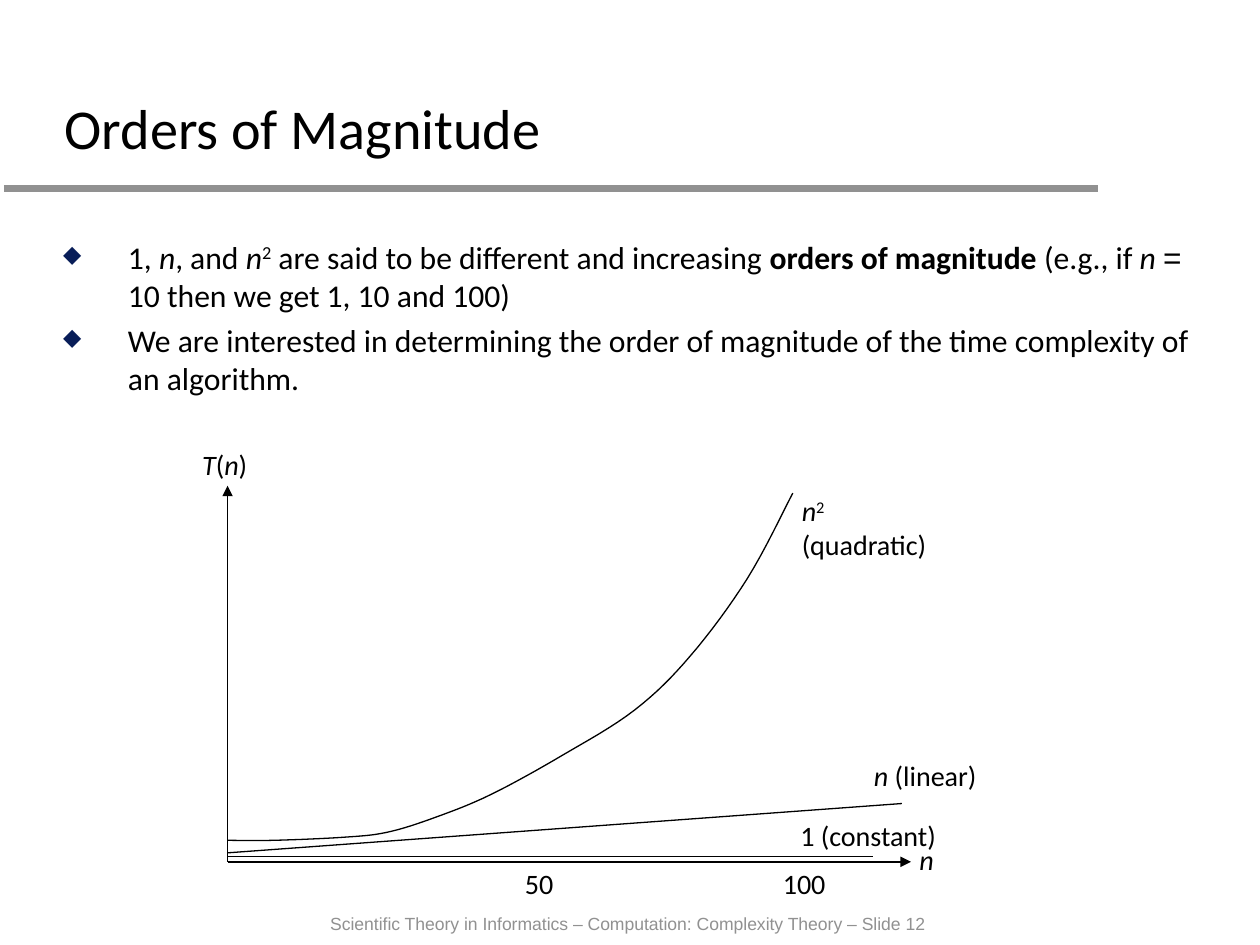
"""Build the Orders of Magnitude slide with its growth-rate sketch."""
from lxml import etree
from pptx import Presentation
from pptx import util as u
from pptx.dml import color
from pptx.enum import text
from pptx.oxml import ns

INK, GREY, NAVY = "000000", "919191", "081D58"
ITALIC, BOLD, RAISED = {"italic": True}, {"bold": True}, {"raised": True}


def rgb(value):
    return color.RGBColor.from_string(value)


def add_run(paragraph, words, size=16, font="Calibri", ink=INK,
            italic=False, bold=False, raised=False):
    run = paragraph.add_run()
    run.text = words
    run.font.size, run.font.name = u.Pt(size), font
    run.font.italic, run.font.bold = italic, bold
    run.font.color.rgb = rgb(ink)
    if raised:
        run._r.get_or_add_rPr().set("baseline", "30000")


def add_xml(parent, tag, **attributes):
    return etree.SubElement(parent, ns.qn(tag), attributes)


def smooth(knots, steps=8):
    padded = [knots[0], *knots, knots[-1]]
    points = [knots[0]]
    for before, start, end, after in zip(padded, padded[1:], padded[2:], padded[3:]):
        for step in range(1, steps + 1):
            t = step / steps
            points.append(tuple(
                b + t / 2 * (c - a + t * (2 * a - 5 * b + 4 * c - d
                                          + t * (3 * b - a - 3 * c + d)))
                for a, b, c, d in zip(before, start, end, after)))
    return points


class LectureSlide:
    def __init__(self, deck):
        self.slide = deck.slides.add_slide(deck.slide_layouts[5])
        self.shapes = self.slide.shapes

    def title(self, words, left, top, width, height):
        heading = self.shapes.title
        heading.left, heading.top = u.Cm(left), u.Cm(top)
        heading.width, heading.height = u.Cm(width), u.Cm(height)
        frame = heading.text_frame
        frame.auto_size = text.MSO_AUTO_SIZE.NONE
        frame.vertical_anchor = text.MSO_ANCHOR.BOTTOM
        frame.paragraphs[0].alignment = text.PP_ALIGN.LEFT
        add_run(frame.paragraphs[0], words, size=32)

    def line(self, start, end, ink=INK, weight=0.75, arrow=False):
        connector = self.shapes.add_connector(1, *map(u.Cm, (*start, *end)))
        connector.line.color.rgb = rgb(ink)
        connector.line.width = u.Pt(weight)
        if arrow:
            add_xml(connector.line._get_or_add_ln(), "a:tailEnd", type="triangle")
        add_xml(connector._element.spPr, "a:effectLst")

    def curve(self, knots):
        first, *rest = [(u.Cm(x), u.Cm(y)) for x, y in smooth(knots)]
        builder = self.shapes.build_freeform(*first)
        builder.add_line_segments(rest, close=False)
        outline = builder.convert_to_shape()
        outline.shadow.inherit = False
        outline.fill.background()
        outline.line.color.rgb = rgb(INK)
        outline.line.width = u.Pt(0.75)

    def label(self, left, top, width, *runs, height=0.94):
        box = self.shapes.add_textbox(*map(u.Cm, (left, top, width, height)))
        box.text_frame.word_wrap = False
        for words, style in runs:
            add_run(box.text_frame.paragraphs[0], words, **style)

    def bullets(self, left, top, width, height, items):
        frame = self.shapes.add_textbox(*map(u.Cm, (left, top, width, height))).text_frame
        frame.word_wrap = True
        for index, runs in enumerate(items):
            paragraph = frame.add_paragraph() if index else frame.paragraphs[0]
            paragraph.space_before = u.Pt(4)
            props = paragraph._p.get_or_add_pPr()
            props.set("marL", str(u.Cm(1.3)))
            props.set("indent", str(-u.Cm(1.3)))
            add_xml(add_xml(props, "a:buClr"), "a:srgbClr", val=NAVY)
            add_xml(props, "a:buSzPct", val="75000")
            add_xml(props, "a:buChar", char="◆")
            for words, style in runs:
                add_run(paragraph, words, size=18, **style)


def main():
    deck = Presentation()
    deck.slide_width, deck.slide_height = u.Cm(25.3), u.Cm(18.97)
    page = LectureSlide(deck)

    page.line((0.08, 3.78), (22.05, 3.78), ink=GREY, weight=4)
    page.label(6.38, 18.21, 13, (
        "Scientific Theory in Informatics – Computation: Complexity Theory – Slide 12",
        {"size": 10, "font": "Arial", "ink": GREY}), height=0.69)
    page.title("Orders of Magnitude", 1.04, 0.74, 23.24, 2.62)
    page.bullets(1.02, 4.65, 23.32, 13.74, [
        [("1, ", {}), ("n", ITALIC), (", and ", {}), ("n", ITALIC), ("2", RAISED),
         (" are said to be different and increasing ", {}),
         ("orders of magnitude", BOLD), (" (e.g., if ", {}), ("n ", ITALIC),
         ("=", {"font": "Arial"}), (" 10 then we get 1, 10 and 100)", {})],
        [("We are interested in determining the order of magnitude of the time "
          "complexity of an algorithm.", {})],
    ])

    axis_x, axis_y = 4.57, 17.3
    page.line((axis_x, axis_y), (18.29, axis_y), weight=1, arrow=True)
    page.line((axis_x, axis_y), (axis_x, 9.75), weight=1, arrow=True)
    page.line((axis_x, 17.12), (18.11, 16.13))
    page.line((axis_x, 17.2), (17.53, 17.2))
    page.curve([(axis_x, 16.87), (5.51, 16.87), (6.88, 16.81), (7.77, 16.71),
                (8.74, 16.41), (9.86, 15.95), (11.3, 15.16), (12.75, 14.25),
                (13.87, 13.16), (15.01, 11.61), (15.92, 9.9)])

    page.label(3.81, 8.86, 1.5, ("T", ITALIC), ("(", {}), ("n", ITALIC), (")", {}))
    page.label(18.21, 16.79, 0.81, ("n", ITALIC))
    page.label(10.29, 17.27, 1.09, ("50", {}))
    page.label(15.47, 17.27, 1.4, ("100", {}))
    page.label(15.85, 9.78, 3.5, ("n", ITALIC), ("2 ", RAISED), ("(quadratic)", {}))
    page.label(17.3, 15.11, 2.67, ("n", ITALIC), (" (linear)", {}))
    page.label(15.82, 16.31, 3.3, ("1 (constant)", {}))

    deck.save("out.pptx")


if __name__ == "__main__":
    main()
